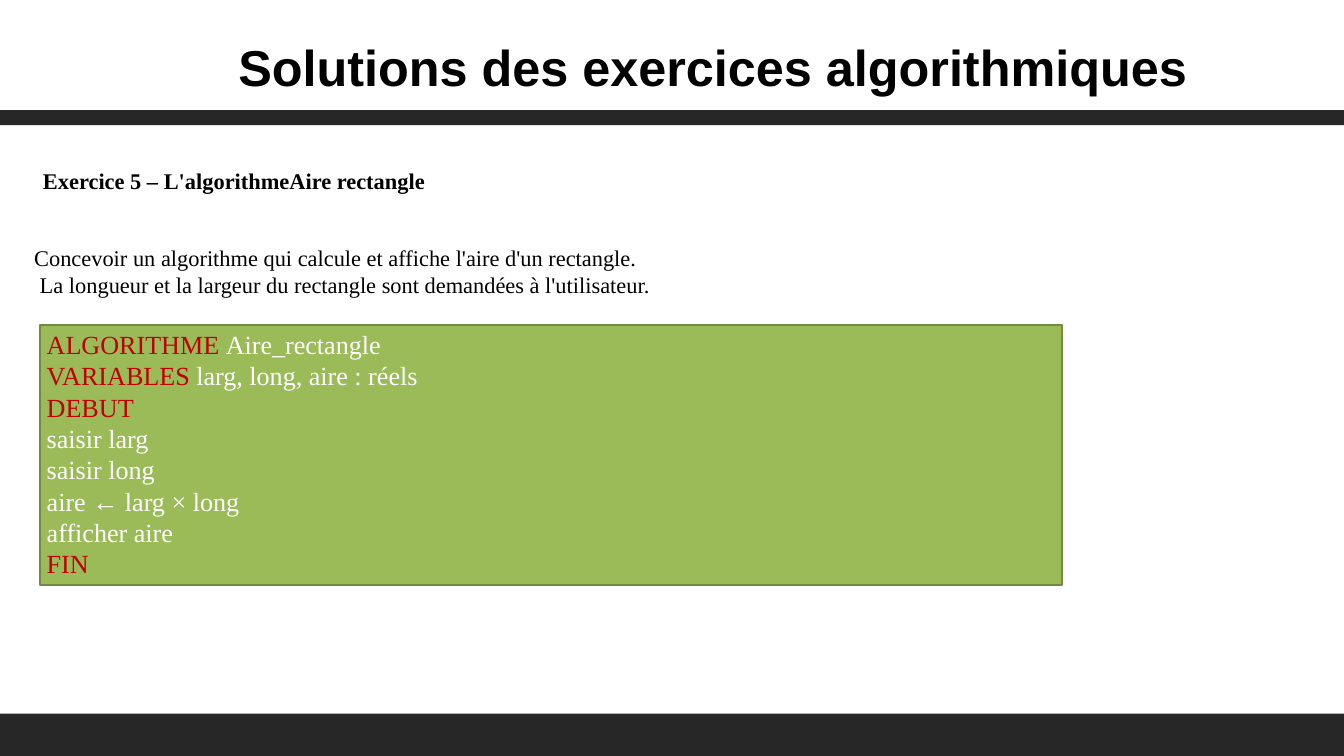
import pptx
import pptx.dml.color
import pptx.enum.shapes
import pptx.enum.text
import pptx.util

Pt = pptx.util.Pt
RGBColor = pptx.dml.color.RGBColor
Align = pptx.enum.text.PP_ALIGN
Anchor = pptx.enum.text.MSO_ANCHOR

BLACK = RGBColor(0x00, 0x00, 0x00)
WHITE = RGBColor(0xFF, 0xFF, 0xFF)
CHARCOAL = RGBColor(0x27, 0x27, 0x27)
GREEN = RGBColor(0x9B, 0xBB, 0x59)
DARK_GREEN = RGBColor(0x73, 0x8A, 0x42)
RED = RGBColor(0xC0, 0x00, 0x00)

SERIF = "Times New Roman"
SLIDE_WIDTH, SLIDE_HEIGHT = 1440, 810

TITLE = "Solutions des exercices algorithmiques"
HEADING = "Exercice 5 – L'algorithmeAire rectangle"
STATEMENT = [
    "Concevoir un algorithme qui calcule et affiche l'aire d'un rectangle.",
    " La longueur et la largeur du rectangle sont demandées à l'utilisateur.",
]
ALGORITHM = [
    [("ALGORITHME ", RED), ("Aire_rectangle", WHITE)],
    [("VARIABLES ", RED), ("larg, long, aire : réels", WHITE)],
    [("DEBUT", RED)],
    [("saisir larg", WHITE)],
    [("saisir long", WHITE)],
    [("aire ← larg × long", WHITE)],
    [("afficher aire", WHITE)],
    [("FIN", RED)],
]


def write_lines(text_frame, lines, size, font=SERIF, bold=False, align=Align.LEFT):
    """Write each line, a list of (text, colour) runs, as one paragraph."""
    text_frame.word_wrap = True
    for index, runs in enumerate(lines):
        paragraph = text_frame.paragraphs[0] if index == 0 else text_frame.add_paragraph()
        paragraph.alignment = align
        for text, colour in runs:
            run = paragraph.add_run()
            run.text = text
            run.font.name = font
            run.font.size = Pt(size)
            run.font.bold = bold
            run.font.color.rgb = colour


def add_rectangle(slide, box, fill, line=None):
    """Add a flat rectangle, outlined only when a line colour is given."""
    shape = slide.shapes.add_shape(
        pptx.enum.shapes.MSO_SHAPE.RECTANGLE, *map(Pt, box))
    shape.shadow.inherit = False
    shape.fill.solid()
    shape.fill.fore_color.rgb = fill
    if line is None:
        shape.line.fill.background()
    else:
        shape.line.color.rgb = line
        shape.line.width = Pt(2)
    return shape


def place_title(slide, box):
    """Move the title placeholder into the box and fill it."""
    title = slide.shapes.title
    title.left, title.top, title.width, title.height = map(Pt, box)
    frame = title.text_frame
    frame.margin_left = frame.margin_top = frame.margin_right = frame.margin_bottom = 0
    frame.vertical_anchor = Anchor.MIDDLE
    frame.auto_size = pptx.enum.text.MSO_AUTO_SIZE.NONE
    write_lines(frame, [[(TITLE, BLACK)]], 54, "Arial", True, Align.CENTER)
    frame.paragraphs[0].line_spacing = 0.9


def place_text(slide, box, texts, bold=False):
    """Add a box of black text with one paragraph for each string."""
    text_box = slide.shapes.add_textbox(*map(Pt, box))
    write_lines(text_box.text_frame, [[(text, BLACK)] for text in texts], 24, bold=bold)


def place_algorithm(slide, box):
    """Add the green panel that lists the algorithm."""
    panel = add_rectangle(slide, box, GREEN, DARK_GREEN)
    panel.text_frame.vertical_anchor = Anchor.TOP
    write_lines(panel.text_frame, ALGORITHM, 28)


def main():
    """Build and save the slide."""
    presentation = pptx.Presentation()
    presentation.slide_width = Pt(SLIDE_WIDTH)
    presentation.slide_height = Pt(SLIDE_HEIGHT)
    slide = presentation.slides.add_slide(presentation.slide_layouts.get_by_name("Title Only"))
    add_rectangle(slide, (0, 118, SLIDE_WIDTH, 16), CHARCOAL)
    add_rectangle(slide, (0, 764.5, SLIDE_WIDTH, SLIDE_HEIGHT - 764.5), CHARCOAL)
    place_title(slide, (116, 46, 1296, 59))
    place_text(slide, (39, 175, 720, 36), [HEADING], bold=True)
    place_algorithm(slide, (43, 348, 1094.5, 278.5))
    place_text(slide, (29.5, 258.5, 1342, 65.5), STATEMENT)
    presentation.save("out.pptx")


if __name__ == "__main__":
    main()
